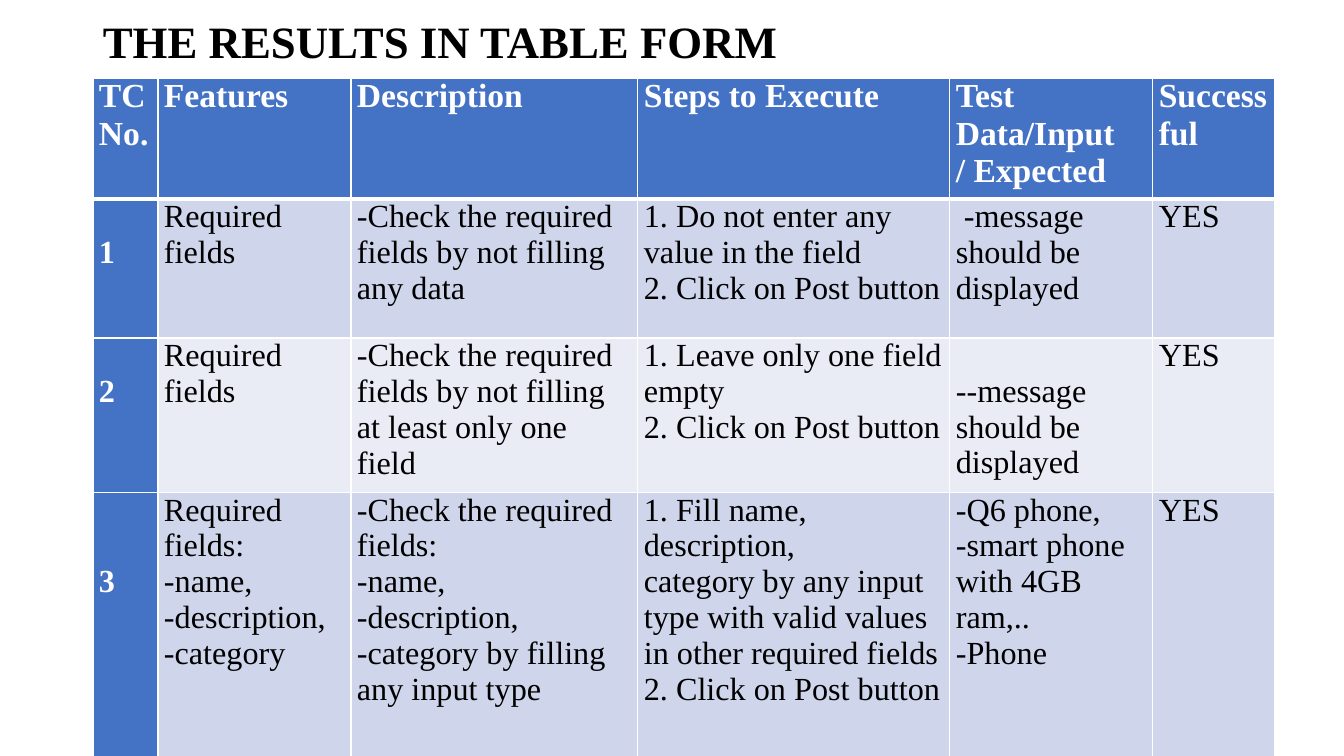
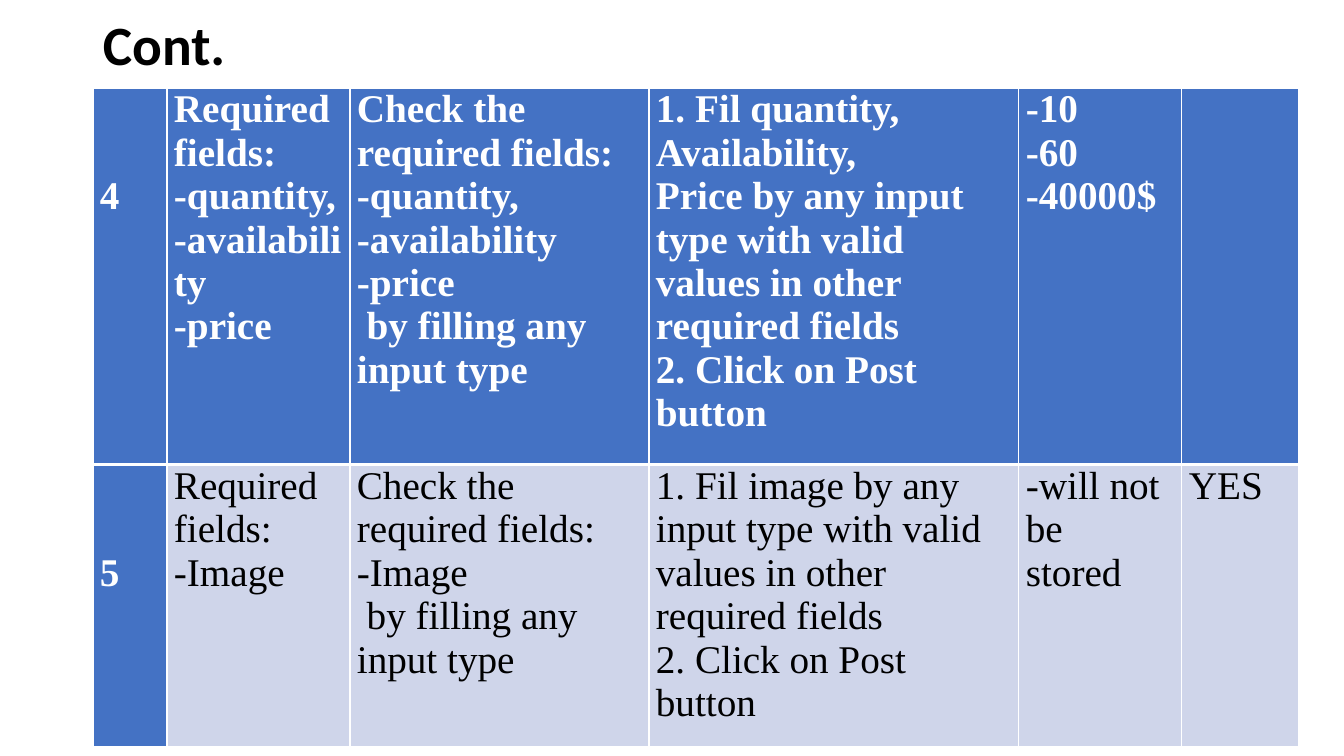
from dataclasses import dataclass

from lxml import etree
from pptx import Presentation
from pptx.dml.color import RGBColor
from pptx.enum.text import MSO_ANCHOR
from pptx.oxml.ns import qn
from pptx.util import Emu, Pt

TOP = MSO_ANCHOR.TOP
MIDDLE = MSO_ANCHOR.MIDDLE
PX = 914400 / 100.8
BLANK_LAYOUT = 6


@dataclass(frozen=True)
class Theme:
    header: str = "4472C4"
    bands: tuple = ("CFD5EA", "E9EBF5")
    light: str = "FFFFFF"
    dark: str = "000000"
    serif: str = "Times New Roman"
    sans: str = "Calibri"
    thin: int = 1
    thick: int = 3
    title_spacing: float = 0.9
    line_pitch: float = 1.107


THEME = Theme()

RESULTS = {
    "title": "THE RESULTS IN TABLE FORM",
    "title_box": (93, 12, 1159, 64),
    "title_font": THEME.serif,
    "title_size": 32,
    "table_at": (93, 78),
    "columns": (65, 193, 287, 312, 203, 122),
    "heights": (84, 139, 139, 279),
    "inset": 6,
    "sizes": (24, 23),
    "skipped_lines": {(1, 0): 1, (2, 0): 1, (2, 4): 1, (3, 0): 2},
    "rows": [
        ["TC\nNo.", "Features", "Description", "Steps to Execute",
         "Test Data/Input\n/ Expected", "Successful"],
        ["1", "Required fields",
         "-Check the required fields by not filling any data",
         "1. Do not enter any value in the field\n2. Click on Post button",
         " -message should be displayed", "YES"],
        ["2", "Required fields",
         "-Check the required fields by not filling at least only one field",
         "1. Leave only one field empty\n2. Click on Post button",
         "--message should be displayed", "YES"],
        ["3", "Required fields:\n-name,\n-description,\n-category",
         "-Check the required fields:\n-name,\n-description,\n"
         "-category by filling any input type",
         "1. Fill name,\ndescription,\ncategory by any input type with valid "
         "values in other required fields\n2. Click on Post button",
         "-Q6 phone,\n-smart phone with 4GB ram,..\n-Phone", "YES"],
    ],
}

CONTINUED = {
    "title": "Cont.",
    "title_box": (93, 20, 1159, 54),
    "title_font": THEME.sans,
    "title_size": 39.6,
    "table_at": (93, 88),
    "columns": (74, 183, 299, 370, 163, 117),
    "heights": (226, 179),
    "inset": 7,
    "sizes": (28, 28),
    "skipped_lines": {(0, 0): 2, (1, 0): 2},
    "rows": [
        ["4", "Required fields:\n-quantity,\n-availability\n-price",
         "Check the required fields:\n-quantity,\n-availability\n-price\n"
         " by filling any input type",
         "1. Fil quantity,\nAvailability,\nPrice by any input type with valid "
         "values in other required fields\n2. Click on Post button",
         "-10\n-60\n-40000$", ""],
        ["5", "Required fields:\n-Image",
         "Check the required fields:\n-Image\n by filling any input type",
         "1. Fil image by any input type with valid values in other required "
         "fields\n2. Click on Post button",
         "-will not be\nstored", "YES"],
    ],
}


def px(length):
    return Emu(round(length * PX))


def write(frame, text, font, size, color, bold, spacing=None):
    for index, line in enumerate(text.split("\n")):
        para = frame.add_paragraph() if index else frame.paragraphs[0]
        para.line_spacing = spacing
        para.font.size = Pt(size)
        if line:
            span = para.add_run()
            span.text = line
            span.font.name = font
            span.font.size = Pt(size)
            span.font.bold = bold
            span.font.color.rgb = RGBColor.from_string(color)


def add_title(page, content):
    box = page.shapes.add_textbox(*map(px, content["title_box"]))
    frame = box.text_frame
    frame.word_wrap = True
    frame.vertical_anchor = MIDDLE
    write(frame, content["title"], content["title_font"],
          content["title_size"], THEME.dark, True, THEME.title_spacing)


def set_borders(cell, row):
    widths = {
        "a:lnL": THEME.thin,
        "a:lnR": THEME.thin,
        "a:lnT": THEME.thick if row == 1 else THEME.thin,
        "a:lnB": THEME.thick if row == 0 else THEME.thin,
    }
    properties = cell._tc.get_or_add_tcPr()
    for tag, width in widths.items():
        line = etree.SubElement(properties, qn(tag), w=str(Pt(width)))
        fill = etree.SubElement(line, qn("a:solidFill"))
        etree.SubElement(fill, qn("a:srgbClr"), val=THEME.light)


def add_cell(cell, row, column, text, content):
    header_size, body_size = content["sizes"]
    size = body_size if row else header_size
    strong = row == 0 or column == 0
    skipped = content["skipped_lines"].get((row, column), 0)
    set_borders(cell, row)
    cell.fill.solid()
    fill = THEME.header if strong else THEME.bands[(row - 1) % 2]
    cell.fill.fore_color.rgb = RGBColor.from_string(fill)
    cell.margin_left = cell.margin_right = px(content["inset"])
    cell.margin_top = Pt(skipped * size * THEME.line_pitch)
    cell.margin_bottom = 0
    cell.vertical_anchor = TOP
    write(cell.text_frame, text, THEME.serif, size,
          THEME.light if strong else THEME.dark, strong)


def add_results_table(page, content):
    columns, heights = content["columns"], content["heights"]
    left, top = content["table_at"]
    table = page.shapes.add_table(
        len(heights), len(columns), px(left), px(top),
        px(sum(columns)), px(sum(heights))).table
    table.first_col = True
    for column, width in zip(table.columns, columns):
        column.width = px(width)
    for row, height in zip(table.rows, heights):
        row.height = px(height)
    for row, texts in enumerate(content["rows"]):
        for column, text in enumerate(texts):
            add_cell(table.cell(row, column), row, column, text, content)


def add_results_page(deck, content):
    page = deck.slides.add_slide(deck.slide_layouts[BLANK_LAYOUT])
    add_title(page, content)
    add_results_table(page, content)


def main():
    deck = Presentation()
    deck.slide_width, deck.slide_height = px(1344), px(756)
    for content in (RESULTS, CONTINUED):
        add_results_page(deck, content)
    deck.save("out.pptx")


if __name__ == "__main__":
    main()
